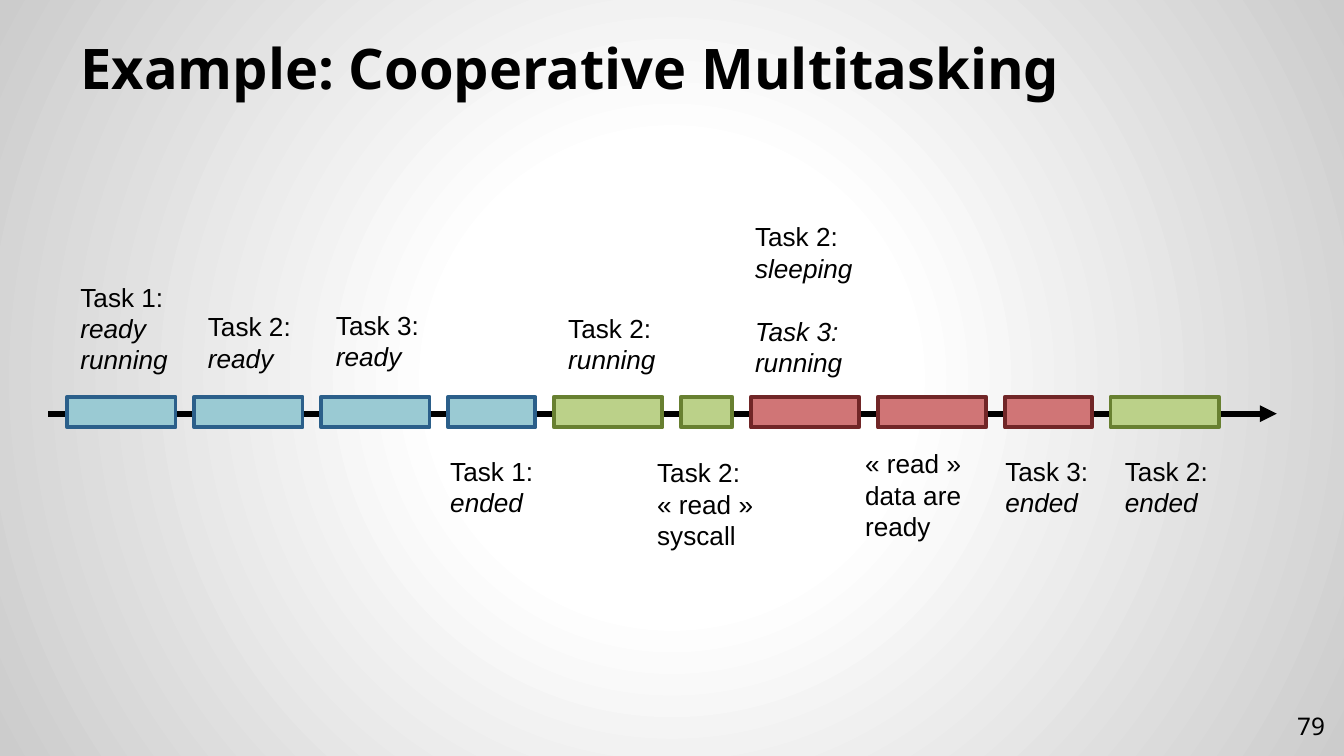
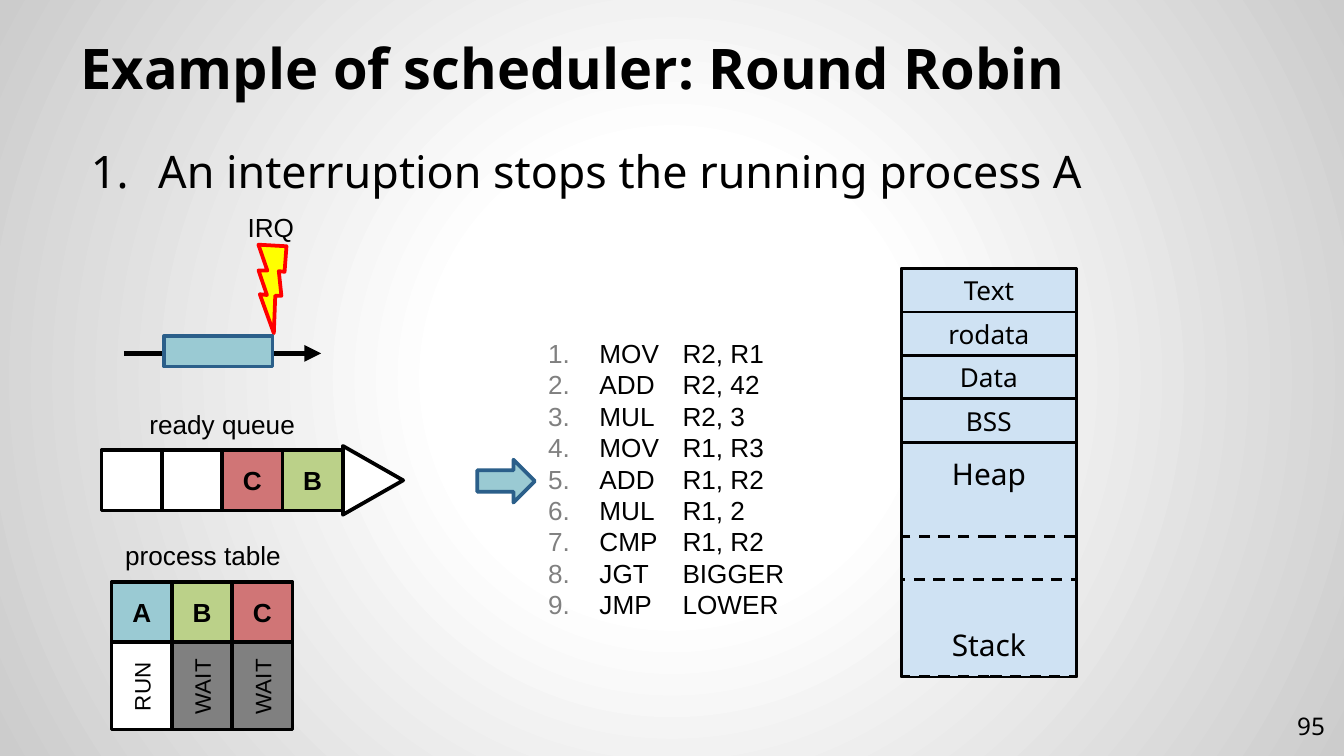
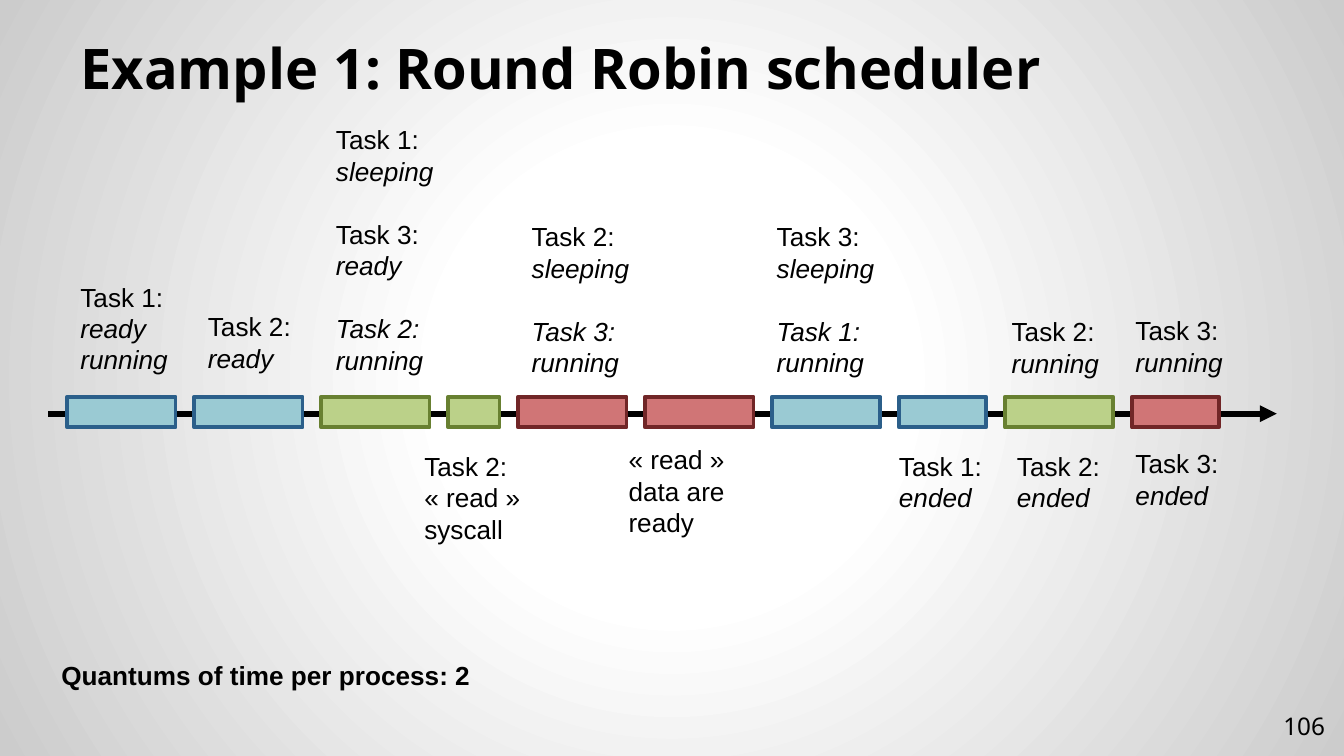
from lxml.etree import SubElement
from pptx import Presentation
from pptx.dml.color import RGBColor
from pptx.enum.dml import MSO_LINE
from pptx.enum.shapes import MSO_CONNECTOR, MSO_SHAPE
from pptx.enum.text import MSO_ANCHOR, MSO_AUTO_SIZE, PP_ALIGN
from pptx.oxml import parse_xml
from pptx.oxml.ns import nsdecls, qn
from pptx.util import Cm, Pt

BLACK, WHITE, GREY, MEMORY = "000000", "FFFFFF", "808080", "CFE2F3"
BLUE, GREEN, RED = ("9ACAD3", "2B5F8A"), ("BBD189", "688031"), ("D07576", "712627")
RECT = MSO_SHAPE.RECTANGLE
LEFT, CENTER, RIGHT = PP_ALIGN.LEFT, PP_ALIGN.CENTER, PP_ALIGN.RIGHT
TOP, MIDDLE, BOTTOM = MSO_ANCHOR.TOP, MSO_ANCHOR.MIDDLE, MSO_ANCHOR.BOTTOM

# Font, alignment and anchor of each kind of text
FORMATS = {
    "title": ({"name": "Noto Sans", "size": Pt(30), "bold": True}, LEFT, BOTTOM),
    "body": ({"name": "Noto Sans", "size": Pt(24)}, LEFT, TOP),
    "number": ({"name": "Noto Sans", "size": Pt(13)}, RIGHT, MIDDLE),
    "label": ({"name": "Arial", "size": Pt(14)}, LEFT, TOP),
    "caption": ({"name": "Arial", "size": Pt(14)}, CENTER, TOP),
    "note": ({"name": "Arial", "size": Pt(14), "bold": True}, LEFT, TOP),
    "process": ({"name": "Arial", "size": Pt(14), "bold": True}, CENTER, MIDDLE),
    "state": ({"name": "Arial", "size": Pt(12)}, CENTER, TOP),
    "segment": ({"name": "Noto Sans", "size": Pt(14)}, CENTER, MIDDLE),
    "heap": ({"name": "Noto Sans", "size": Pt(16)}, CENTER, TOP),
    "stack": ({"name": "Noto Sans", "size": Pt(16)}, CENTER, BOTTOM),
}
DEEP_MARGINS = ("title", "body", "number", "segment", "heap", "stack")


def rgb(color):
    return RGBColor.from_string(color)


def put(shape, at, text="", style="label", fill=None, line=None, width=2, turn=0):
    """Place a shape (cm), paint it and write lines split by |; * is italic, + opens a gap."""
    shape.left, shape.top, shape.width, shape.height = map(Cm, at)
    if turn:
        shape.rotation = turn
    if line:
        shape.shadow.inherit = False
        shape.line.color.rgb = rgb(line)
        shape.line.width = Pt(width)
        if fill:
            shape.fill.solid()
            shape.fill.fore_color.rgb = rgb(fill)
        else:
            shape.fill.background()
    if text:
        font_values, alignment, anchor = FORMATS[style]
        depth = Cm(0.25 if style in DEEP_MARGINS else 0.13)
        frame_values = {"word_wrap": True, "auto_size": MSO_AUTO_SIZE.NONE,
                        "vertical_anchor": anchor, "margin_left": Cm(0.25),
                        "margin_right": Cm(0.25), "margin_top": depth,
                        "margin_bottom": depth}
        for name, value in frame_values.items():
            setattr(shape.text_frame, name, value)
        for index, words in enumerate(text.split("|")):
            frame = shape.text_frame
            paragraph = frame.add_paragraph() if index else frame.paragraphs[0]
            paragraph.alignment = alignment
            if "+" in words:
                paragraph.space_before = Pt(17)
            run = paragraph.add_run()
            run.text = words.lstrip("+*")
            run.font.color.rgb = rgb(BLACK)
            for name, value in font_values.items():
                setattr(run.font, name, value)
            if "*" in words:
                run.font.italic = True
    return shape


deck = Presentation()
deck.slide_width, deck.slide_height = Cm(25.4), Cm(14.29)

# Radial background shared by all slides
master_content = deck.slide_master.element.cSld
for old_background in master_content.findall(qn("p:bg")):
    master_content.remove(old_background)
stops = "".join(f'<a:gs pos="{place}"><a:srgbClr val="{color}"/></a:gs>'
                for place, color in ((0, WHITE), (30000, WHITE), (100000, "CCCCCC")))
master_content.insert(0, parse_xml(
    f'<p:bg {nsdecls("p", "a")}><p:bgPr><a:gradFill><a:gsLst>{stops}</a:gsLst>'
    '<a:path path="circle"><a:fillToRect l="50000" t="50000" r="50000" b="50000"/>'
    '</a:path></a:gradFill><a:effectLst/></p:bgPr></p:bg>'))

# Titles, page numbers and time arrows
pages = [
    ("Example: Cooperative Multitasking", "79", (0.91, 24.13, 7.82)),
    ("Example of scheduler: Round Robin", "95", (2.34, 6.07, 6.68)),
    ("Example 1: Round Robin scheduler", "106", (0.91, 24.13, 7.82)),
]
slides = []
for title, number, (start, end, height) in pages:
    slide = deck.slides.add_slide(deck.slide_layouts[5])
    put(slide.shapes.title, (1.27, 0.58, 22.86, 1.57), title, "title")
    put(slide.shapes.add_textbox(0, 0, 0, 0), (23.77, 13.18, 1.52, 1.09), number, "number")
    time_arrow = slide.shapes.add_connector(
        MSO_CONNECTOR.STRAIGHT, Cm(start), Cm(height), Cm(end), Cm(height))
    time_arrow.line.color.rgb = rgb(BLACK)
    time_arrow.line.width = Pt(3)
    SubElement(time_arrow.line._get_or_add_ln(), qn("a:tailEnd"), type="triangle")
    SubElement(time_arrow._element.spPr, qn("a:effectLst"))
    slides.append(slide)
cooperative, scheduler, round_robin = slides

# Timelines: time slices in order, then labels as left, top, width, height, text
QUANTUM, LAST, CALL, GAP, SLICE_HEIGHT = 2.05, 1.65, 0.97, 0.35, 0.58
timelines = [
    (cooperative,
     [(BLUE, QUANTUM)] * 3 + [(BLUE, LAST), (GREEN, QUANTUM), (GREEN, CALL),
      (RED, QUANTUM), (RED, QUANTUM), (RED, LAST), (GREEN, QUANTUM)],
     [(1.27, 5.18, 2.41, 2.05, "Task 1:|*ready|*running"),
      (3.68, 5.74, 2.41, 1.45, "Task 2:|*ready"),
      (6.1, 5.72, 2.41, 1.45, "Task 3:|*ready"),
      (10.49, 5.77, 2.41, 1.45, "Task 2:|*running"),
      (14.02, 4.04, 2.41, 3.25, "Task 2:|*sleeping|+*Task 3:|*running"),
      (8.26, 8.48, 2.41, 1.45, "Task 1:|*ended"),
      (12.17, 8.5, 2.41, 2.05, "Task 2:|« read » syscall"),
      (18.75, 8.48, 2.18, 1.45, "Task 3:|*ended"),
      (21.01, 8.48, 2.18, 1.45, "Task 2:|*ended"),
      (16.1, 8.33, 2.41, 2.05, "« read » data are ready")]),
    (round_robin,
     [(BLUE, QUANTUM)] * 2 + [(GREEN, QUANTUM), (GREEN, CALL), (RED, QUANTUM),
      (RED, QUANTUM), (BLUE, QUANTUM), (BLUE, LAST), (GREEN, QUANTUM), (RED, LAST)],
     [(1.27, 5.18, 2.41, 2.05, "Task 1:|*ready|*running"),
      (3.68, 5.74, 2.41, 1.45, "Task 2:|*ready"),
      (6.1, 2.21, 2.41, 5.05,
       "Task 1:|*sleeping|+Task 3:|*ready|+*Task 2:|*running"),
      (9.8, 4.04, 2.41, 3.25, "Task 2:|*sleeping|+*Task 3:|*running"),
      (14.43, 4.04, 2.41, 3.25, "Task 3:|*sleeping|+*Task 1:|*running"),
      (18.87, 5.84, 2.41, 1.45, "Task 2:|*running"),
      (21.21, 5.82, 2.41, 1.45, "Task 3:|*running"),
      (7.77, 8.38, 2.41, 2.05, "Task 2:|« read » syscall"),
      (11.63, 8.26, 2.41, 2.05, "« read » data are ready"),
      (16.74, 8.38, 2.18, 1.45, "Task 1:|*ended"),
      (18.97, 8.38, 2.18, 1.45, "Task 2:|*ended"),
      (21.21, 8.33, 2.18, 1.45, "Task 3:|*ended")]),
]
for slide, time_slices, labels in timelines:
    left = 1.27
    for (fill, line), length in time_slices:
        put(slide.shapes.add_shape(RECT, 0, 0, 0, 0), (left, 7.5, length, SLICE_HEIGHT),
            fill=fill, line=line)
        left += length + GAP
    for *at, text in labels:
        put(slide.shapes.add_textbox(0, 0, 0, 0), at, text)
put(round_robin.shapes.add_textbox(0, 0, 0, 0), (0.91, 12.34, 8.53, 0.86),
    "Quantums of time per process: 2", "note")

# Scheduler: numbered step and program
shapes = scheduler.shapes
step = put(shapes.add_textbox(0, 0, 0, 0), (1.27, 2.46, 22.86, 1.6),
           "An interruption stops the running process A", "body")
step.text_frame.paragraphs[0].space_before = Pt(6)
program = put(shapes.add_textbox(0, 0, 0, 0), (10.11, 6.25, 5.82, 5.64),
              "MOV\tR2, R1|ADD\tR2, 42|MUL\tR2, 3|MOV\tR1, R3|ADD\tR1, R2|"
              "MUL\tR1, 2|CMP\tR1, R2|JGT\tBIGGER|JMP\tLOWER")
for numbered, margin, hanging, color in ((step, 1.47, 1.27, BLACK),
                                         (program, 0.97, 0.97, GREY)):
    for paragraph in numbered.text_frame.paragraphs:
        properties = paragraph._p.get_or_add_pPr()
        properties.set("marL", str(Cm(margin)))
        properties.set("indent", str(-Cm(hanging)))
        SubElement(SubElement(properties, qn("a:buClr")), qn("a:srgbClr"), val=color)
        SubElement(properties, qn("a:buAutoNum"), type="arabicPeriod")
put(shapes.add_shape(MSO_SHAPE.RIGHT_ARROW, 0, 0, 0, 0), (9.02, 8.69, 1.09, 0.81),
    fill=BLUE[0], line=BLUE[1])

# Interruption of the running process
put(shapes.add_shape(MSO_SHAPE.LIGHTNING_BOLT, 0, 0, 0, 0), (4.52, 4.6, 1.17, 1.5),
    fill="FFFF00", line="FF0000", turn=33.7)
put(shapes.add_shape(RECT, 0, 0, 0, 0), (3.1, 6.35, QUANTUM, SLICE_HEIGHT),
    fill=BLUE[0], line=BLUE[1])
for *at, caption in ((4.22, 3.86, 1.8, 0.86, "IRQ"),
                     (2.08, 7.59, 4.24, 0.86, "ready queue"),
                     (1.68, 10.06, 4.32, 0.86, "process table")):
    put(shapes.add_textbox(0, 0, 0, 0), at, caption, "caption")

# Memory layout
memory_left, memory_top, memory_width, memory_height, row = 17.04, 5.08, 3.3, 7.72, 0.82
whole_memory = (memory_left, memory_top, memory_width, memory_height)
put(shapes.add_shape(RECT, 0, 0, 0, 0), whole_memory, fill=MEMORY, line=BLACK, width=1.5)
for name, top, height in (("Heap", memory_top + 4 * row, 1.78), ("Stack", 10.95, 1.83)):
    area = put(shapes.add_shape(RECT, 0, 0, 0, 0), (memory_left, top, memory_width, height),
               name, name.lower(), MEMORY, BLACK, 1.5)
    area.line.dash_style = MSO_LINE.DASH
for index, name in enumerate(("Text", "rodata", "Data", "BSS")):
    put(shapes.add_shape(RECT, 0, 0, 0, 0),
        (memory_left, memory_top + index * row, memory_width, row),
        name, "segment", MEMORY, BLACK, 1.5)
put(shapes.add_shape(RECT, 0, 0, 0, 0), whole_memory, line=BLACK, width=1.5)

# Ready queue
CELL = 1.14
for index, (name, fill) in enumerate((("", WHITE), ("", WHITE), ("C", RED[0]), ("B", GREEN[0]))):
    put(shapes.add_shape(RECT, 0, 0, 0, 0), (1.92 + index * CELL, 8.51, CELL, CELL),
        name, "process", fill, BLACK)
put(shapes.add_shape(MSO_SHAPE.ISOSCELES_TRIANGLE, 0, 0, 0, 0), (6.4, 8.51, 1.3, CELL),
    fill=WHITE, line=BLACK, turn=90)

# Process table
processes = (("A", BLUE[0], "RUN", WHITE), ("B", GREEN[0], "WAIT", GREY), ("C", RED[0], "WAIT", GREY))
for index, (name, fill, state, state_fill) in enumerate(processes):
    left = 2.11 + index * CELL
    put(shapes.add_shape(RECT, 0, 0, 0, 0), (left, 11, CELL, CELL), name, "process", fill, BLACK)
    put(shapes.add_shape(RECT, 0, 0, 0, 0), (left, 11 + CELL, CELL, 1.65),
        fill=state_fill, line=BLACK)
    put(shapes.add_textbox(0, 0, 0, 0), (left - 0.26, 12.6, 1.65, 0.76), state, "state", turn=270)

deck.save("out.pptx")
